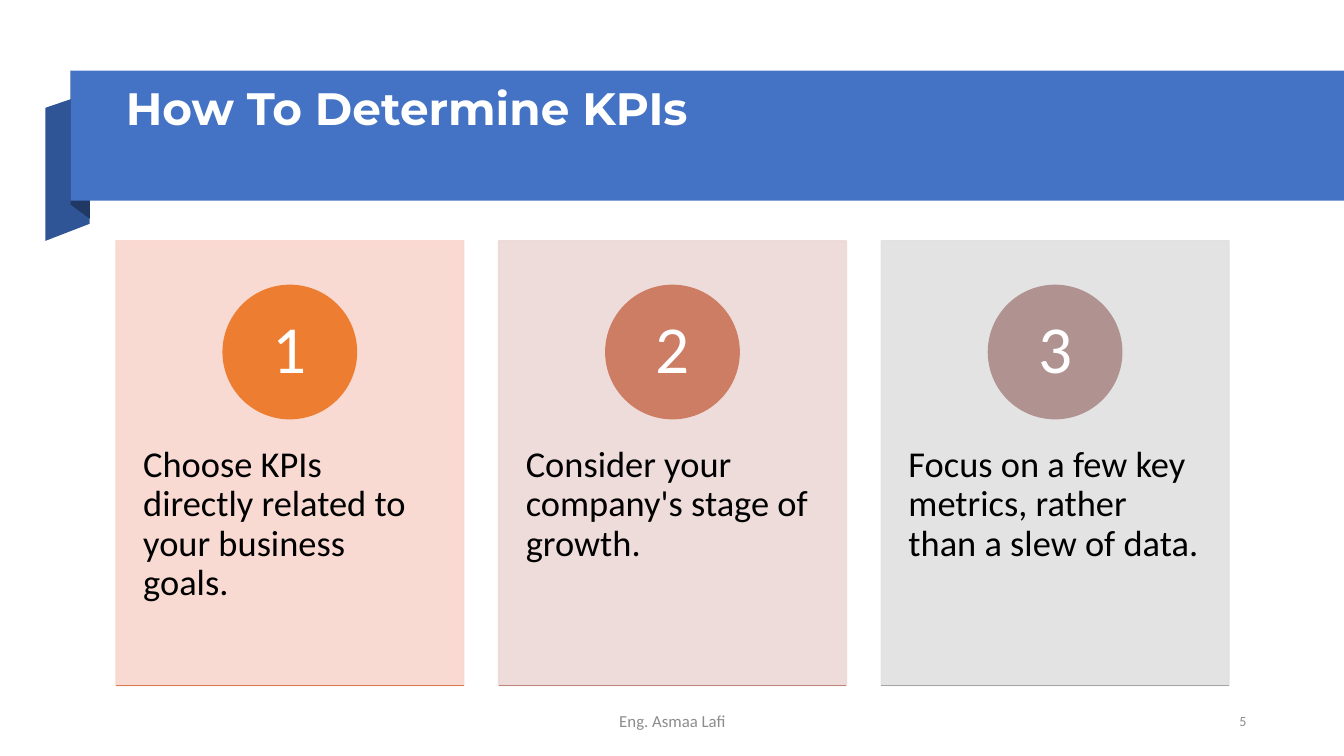
from lxml import etree
from pptx import Presentation
from pptx.dml.color import RGBColor
from pptx.enum.shapes import MSO_CONNECTOR, MSO_SHAPE
from pptx.enum.text import MSO_ANCHOR, PP_ALIGN
from pptx.oxml.ns import qn
from pptx.util import Inches, Pt

WHITE = RGBColor(0xFF, 0xFF, 0xFF)
BLACK = RGBColor(0x00, 0x00, 0x00)
GREY = RGBColor(0x8C, 0x8C, 0x8C)
BANNER = RGBColor(0x44, 0x72, 0xC4)
RIBBON = RGBColor(0x2F, 0x55, 0x97)
FOLD = RGBColor(0x20, 0x38, 0x64)

SLIDE_W, SLIDE_H = 13.33, 7.5
CARD_W, CARD_H, CARD_STEP = 3.45, 4.41, 3.795
CARDS_LEFT, CARDS_TOP = 1.15, 2.39

STEPS = [
    ("Choose KPIs directly related to your business goals.",
     RGBColor(0xF8, 0xD7, 0xCE), RGBColor(0xED, 0x7D, 0x31), RGBColor(0xDC, 0x7A, 0x4B)),
    ("Consider your company's stage of growth.",
     RGBColor(0xED, 0xD9, 0xD7), RGBColor(0xCC, 0x7D, 0x64), RGBColor(0xBD, 0x86, 0x7B)),
    ("Focus on a few key metrics, rather than a slew of data.",
     RGBColor(0xE1, 0xE1, 0xE1), RGBColor(0xB0, 0x93, 0x91), RGBColor(0xA5, 0xA5, 0xA5)),
]


def paint(shape, color, outlined=False):
    shape.shadow.inherit = False
    shape.fill.solid()
    shape.fill.fore_color.rgb = color
    if outlined:
        shape.line.color.rgb = color
        shape.line.width = Pt(1)
    else:
        shape.line.fill.background()


def set_alpha(shape, percent):
    for color in shape.element.spPr.iter(qn("a:srgbClr")):
        etree.SubElement(color, qn("a:alpha"), val=str(percent * 1000))


def add_block(slide, preset, left, top, width, height, color, outlined=False):
    block = slide.shapes.add_shape(
        preset, Inches(left), Inches(top), Inches(width), Inches(height))
    paint(block, color, outlined)
    return block


def add_outline(slide, points, color):
    corners = [(Inches(x), Inches(y)) for x, y in points]
    builder = slide.shapes.build_freeform(*corners[0])
    builder.add_line_segments(corners[1:], close=True)
    paint(builder.convert_to_shape(), color)


def write(shape, text, size, color, font="Calibri", bold=False, align=PP_ALIGN.LEFT,
          anchor=MSO_ANCHOR.MIDDLE, insets=(0.1, 0.05), spacing=1.0):
    frame = shape.text_frame
    frame.word_wrap = True
    frame.vertical_anchor = anchor
    frame.margin_left = frame.margin_right = Inches(insets[0])
    frame.margin_top = frame.margin_bottom = Inches(insets[1])
    paragraph = frame.paragraphs[0]
    paragraph.alignment = align
    paragraph.line_spacing = spacing
    run = paragraph.add_run()
    run.text = text
    run.font.name = font
    run.font.size = Pt(size)
    run.font.bold = bold
    run.font.color.rgb = color


def add_text(slide, left, top, width, height, *content, **style):
    label = slide.shapes.add_textbox(
        Inches(left), Inches(top), Inches(width), Inches(height))
    write(label, *content, **style)


def add_banner(slide, left, top, width, height):
    edge = left + 0.19
    add_outline(slide, [(edge, top + 1.52), (left - 0.25, top + 1.69),
                        (left - 0.25, top + 0.37), (edge, top + 0.22)], RIBBON)
    add_outline(slide, [(edge, top + 1.47), (left, top + 1.33),
                        (left, top), (edge, top + 0.15)], FOLD)
    add_block(slide, MSO_SHAPE.RECTANGLE, left, top, width, height, BANNER)
    add_text(slide, left + 0.45, top + 0.16, 11.27, 0.96, "How To Determine KPIs",
             32.4, WHITE, font="Montserrat", bold=True, anchor=MSO_ANCHOR.TOP,
             insets=(0.1, 0), spacing=0.9)


def add_card(slide, left, top, width, height, number, step):
    text, tint, accent, rule_color = step
    panel = add_block(slide, MSO_SHAPE.RECTANGLE, left, top, width, height, tint, True)
    set_alpha(panel, 90)
    add_text(slide, left, top + height * 0.38, width, height * 0.6, text, 26, BLACK,
             anchor=MSO_ANCHOR.TOP, insets=(0.27, 0.36), spacing=0.9)
    diameter = height * 0.3
    badge = add_block(slide, MSO_SHAPE.OVAL, left + (width - diameter) / 2,
                      top + height * 0.1, diameter, diameter, accent, True)
    write(badge, str(number), 48, WHITE, align=PP_ALIGN.CENTER,
          insets=(0.1, 0.01), spacing=0.9)
    bottom = Inches(top + height)
    rule = slide.shapes.add_connector(
        MSO_CONNECTOR.STRAIGHT, Inches(left), bottom, Inches(left + width), bottom)
    rule.line.color.rgb = rule_color
    rule.line.width = Pt(1)
    etree.SubElement(rule.element.spPr, qn("a:effectLst"))


def add_footer(slide, top, height):
    add_text(slide, 4.42, top, 4.5, height, "Eng. Asmaa Lafi", 12, GREY,
             align=PP_ALIGN.CENTER)
    add_text(slide, 11.71, top, 0.75, height, "5", 10, GREY, align=PP_ALIGN.RIGHT)


def main():
    deck = Presentation()
    deck.slide_width, deck.slide_height = Inches(SLIDE_W), Inches(SLIDE_H)
    slide = deck.slides.add_slide(deck.slide_layouts[6])
    add_banner(slide, 0.7, 0.7, SLIDE_W - 0.7, 1.29)
    for index, step in enumerate(STEPS):
        add_card(slide, CARDS_LEFT + index * CARD_STEP, CARDS_TOP, CARD_W, CARD_H,
                 index + 1, step)
    add_footer(slide, 6.95, 0.4)
    deck.save("out.pptx")


if __name__ == "__main__":
    main()
